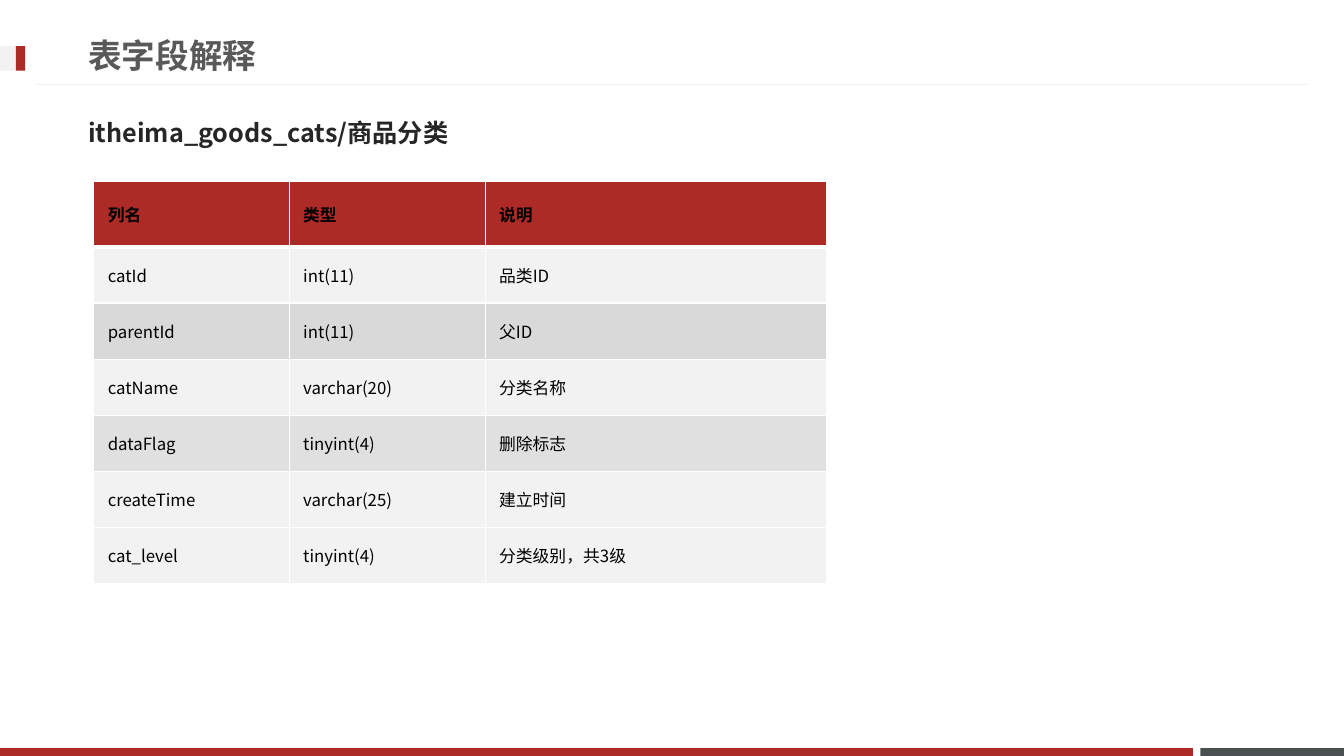
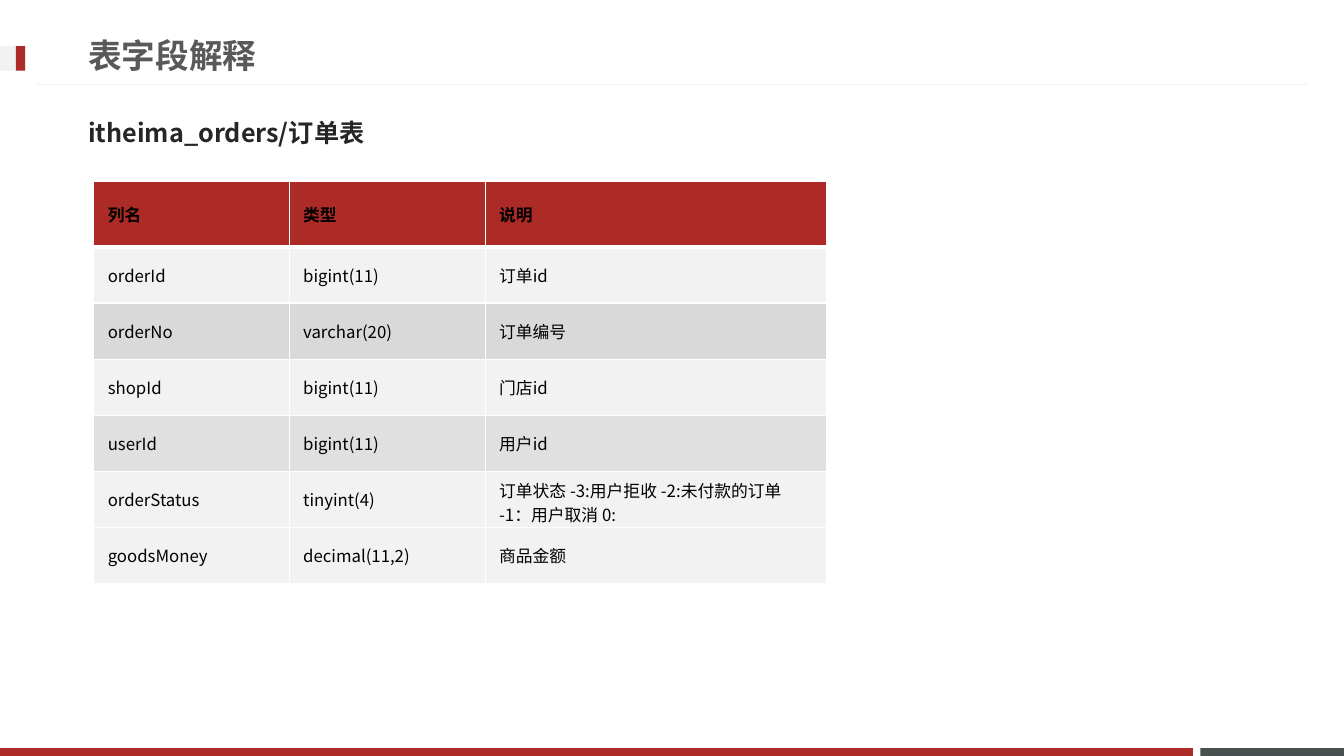
from dataclasses import dataclass

import lxml.etree
import pptx
import pptx.dml.color
import pptx.enum.shapes
import pptx.enum.text
import pptx.oxml.ns
import pptx.util

Pt = pptx.util.Pt
RGBColor = pptx.dml.color.RGBColor
qn = pptx.oxml.ns.qn

RED = RGBColor(0xAD, 0x2B, 0x26)
SLATE = RGBColor(0x49, 0x50, 0x4F)
PALE = RGBColor(0xF2, 0xF2, 0xF2)
GRAY = RGBColor(0xD9, 0xD9, 0xD9)
TITLE_GRAY = RGBColor(0x59, 0x59, 0x59)
INK = RGBColor(0x26, 0x26, 0x26)
BLACK = RGBColor(0, 0, 0)
WHITE = RGBColor(0xFF, 0xFF, 0xFF)

CJK_FONT = "Noto Sans CJK SC"
MIDDLE = pptx.enum.text.MSO_ANCHOR.MIDDLE


@dataclass(frozen=True)
class Band:
    left: float
    top: float
    width: float
    height: float
    color: RGBColor


@dataclass(frozen=True)
class TextStyle:
    size: float
    font: str
    east_asian: str
    color: RGBColor
    bold: bool


@dataclass(frozen=True)
class RowFill:
    color: RGBColor
    opacity: int = 100


@dataclass(frozen=True)
class FieldTable:
    heading: str
    fields: list[tuple[str, str, str]]


TITLE = "表字段解释"
TITLE_STYLE = TextStyle(24, "Calibri", CJK_FONT, TITLE_GRAY, True)
HEADING_STYLE = TextStyle(18, "Noto Sans CJK JP", "Noto Sans CJK JP", INK, True)
HEADER_STYLE = TextStyle(12, CJK_FONT, CJK_FONT, BLACK, True)
BODY_STYLE = TextStyle(12, CJK_FONT, CJK_FONT, BLACK, False)

BANDS = [
    Band(857.5, 534.3, 102.5, 5.7, SLATE),
    Band(0, 534.3, 852, 5.7, RED),
    Band(0, 33, 18, 17.5, PALE),
    Band(11.4, 33, 6.6, 17.5, RED),
]

HEADER = ("列名", "类型", "说明")
COLUMN_WIDTHS = [139.6, 140, 244]
HEADER_HEIGHT = 46.8
ROW_HEIGHT = 40.1
ROW_FILLS = [
    RowFill(RED),
    RowFill(PALE),
    RowFill(GRAY),
    RowFill(PALE),
    RowFill(GRAY, 80),
    RowFill(PALE),
    RowFill(PALE),
]

TABLES = [
    FieldTable("itheima_goods_cats/商品分类", [
        ("catId", "int(11)", "品类ID"),
        ("parentId", "int(11)", "父ID"),
        ("catName", "varchar(20)", "分类名称"),
        ("dataFlag", "tinyint(4)", "删除标志"),
        ("createTime", "varchar(25)", "建立时间"),
        ("cat_level", "tinyint(4)", "分类级别，共3级"),
    ]),
    FieldTable("itheima_orders/订单表", [
        ("orderId", "bigint(11)", "订单id"),
        ("orderNo", "varchar(20)", "订单编号"),
        ("shopId", "bigint(11)", "门店id"),
        ("userId", "bigint(11)", "用户id"),
        ("orderStatus", "tinyint(4)", "订单状态 -3:用户拒收 -2:未付款的订单 -1：用户取消 0:"),
        ("goodsMoney", "decimal(11,2)", "商品金额"),
    ]),
]


def set_text(tf, text: str, style: TextStyle) -> None:
    tf.text = text
    r = tf.paragraphs[0].runs[0]
    r.font.size = Pt(style.size)
    r.font.bold = style.bold
    r.font.color.rgb = style.color
    r.font.name = style.font
    ea = lxml.etree.SubElement(r.font._element, qn("a:ea"))
    ea.set("typeface", style.east_asian)


def add_text(s, left: float, top: float, width: float, height: float,
             text: str, style: TextStyle) -> None:
    tf = s.shapes.add_textbox(Pt(left), Pt(top), Pt(width), Pt(height)).text_frame
    tf.word_wrap = True
    tf.vertical_anchor = MIDDLE
    set_text(tf, text, style)


def add_frame(s) -> None:
    for band in BANDS:
        sp = s.shapes.add_shape(
            pptx.enum.shapes.MSO_SHAPE.RECTANGLE,
            Pt(band.left), Pt(band.top), Pt(band.width), Pt(band.height))
        sp.shadow.inherit = False
        sp.fill.solid()
        sp.fill.fore_color.rgb = band.color
        sp.line.fill.background()
    rule = s.shapes.add_connector(
        pptx.enum.shapes.MSO_CONNECTOR.STRAIGHT, Pt(934.5), Pt(60.5), Pt(25.5), Pt(60.5))
    rule.line.color.rgb = PALE
    rule.line.width = Pt(0.75)
    lxml.etree.SubElement(rule._element.spPr, qn("a:effectLst"))
    add_text(s, 56, 18.7, 690.5, 41, TITLE, TITLE_STYLE)


def set_borders(cell, top: float, bottom: float) -> None:
    tc_pr = cell._tc.get_or_add_tcPr()
    for side, width in (("L", 1), ("R", 1), ("T", top), ("B", bottom)):
        ln = lxml.etree.SubElement(tc_pr, qn(f"a:ln{side}"), w=str(Pt(width)))
        fill = lxml.etree.SubElement(ln, qn("a:solidFill"))
        lxml.etree.SubElement(fill, qn("a:srgbClr"), val=str(WHITE))


def set_fill(cell, row_fill: RowFill) -> None:
    cell.fill.solid()
    cell.fill.fore_color.rgb = row_fill.color
    if row_fill.opacity < 100:
        clr = cell._tc.tcPr.find(qn("a:solidFill")).find(qn("a:srgbClr"))
        lxml.etree.SubElement(clr, qn("a:alpha"), val=str(row_fill.opacity * 1000))


def add_field_table(s, fields: list[tuple[str, str, str]]) -> None:
    rows = [HEADER, *fields]
    height = HEADER_HEIGHT + ROW_HEIGHT * len(fields)
    table = s.shapes.add_table(
        len(rows), len(HEADER), Pt(67), Pt(129.6), Pt(sum(COLUMN_WIDTHS)), Pt(height)).table
    table.first_row = False
    table.horz_banding = False
    for column, width in zip(table.columns, COLUMN_WIDTHS):
        column.width = Pt(width)
    for i, (values, row_fill) in enumerate(zip(rows, ROW_FILLS)):
        table.rows[i].height = Pt(ROW_HEIGHT if i else HEADER_HEIGHT)
        for j, value in enumerate(values):
            cell = table.cell(i, j)
            cell.vertical_anchor = MIDDLE
            cell.margin_left = cell.margin_right = Pt(10)
            cell.margin_top = cell.margin_bottom = Pt(4.5)
            set_text(cell.text_frame, value, BODY_STYLE if i else HEADER_STYLE)
            set_borders(cell, top=3 if i == 1 else 1, bottom=1 if i else 3)
            set_fill(cell, row_fill)


def main() -> None:
    prs = pptx.Presentation()
    prs.slide_width = Pt(960)
    prs.slide_height = Pt(540)
    for field_table in TABLES:
        s = prs.slides.add_slide(prs.slide_layouts[6])
        add_frame(s)
        add_text(s, 56, 74, 842.5, 41, field_table.heading, HEADING_STYLE)
        add_field_table(s, field_table.fields)
    prs.save("out.pptx")


if __name__ == "__main__":
    main()
